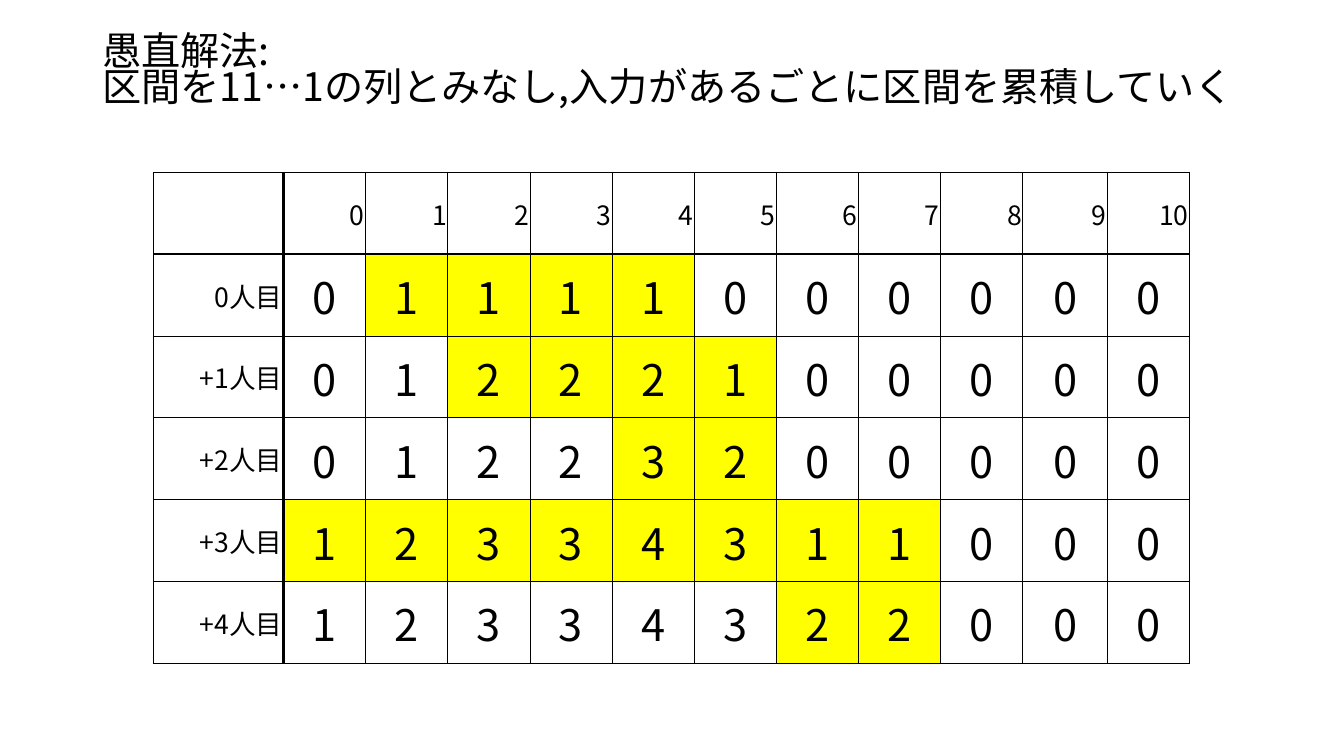
from lxml import etree
from pptx import Presentation
from pptx.dml.color import RGBColor
from pptx.enum.text import MSO_ANCHOR, PP_ALIGN
from pptx.oxml.ns import qn
from pptx.util import Pt

MIDDLE, TOP = MSO_ANCHOR.MIDDLE, MSO_ANCHOR.TOP
LEFT, CENTER, RIGHT = PP_ALIGN.LEFT, PP_ALIGN.CENTER, PP_ALIGN.RIGHT
FONT = "Noto Sans CJK JP"
COLORS = {"ink": "000000", "highlight": "FFFF00"}
THIN, THICK = 0.5, 2
POSITIONS = 11
INTERVALS = [(1, 4), (2, 5), (4, 5), (0, 7), (6, 7)]
COLUMN_WIDTHS = [93] + [58.7] * 9 + [60.5, 58.7]


def add_run(paragraph, text, size):
    """Add one run in the slide's font and ink colour."""
    run = paragraph.add_run()
    run.text = text
    run.font.size = Pt(size)
    run.font.name = FONT
    run.font.color.rgb = RGBColor.from_string(COLORS["ink"])
    east_asian = etree.SubElement(run.font._element, qn("a:ea"))
    east_asian.set("typeface", FONT)


def set_borders(cell, widths):
    """Draw the left, right, top and bottom borders in the given widths."""
    properties = cell._tc.get_or_add_tcPr()
    for index, (side, width) in enumerate(zip("LRTB", widths)):
        line = etree.Element(qn(f"a:ln{side}"), w=str(Pt(width)))
        fill = etree.SubElement(line, qn("a:solidFill"))
        etree.SubElement(fill, qn("a:srgbClr"), val=COLORS["ink"])
        properties.insert(index, line)


def fill_cell(cell, text, size, alignment, highlighted):
    """Write a cell's text and set its background."""
    cell.margin_left = cell.margin_right = cell.margin_top = Pt(0.72)
    cell.margin_bottom = Pt(0)
    cell.vertical_anchor = MIDDLE
    paragraph = cell.text_frame.paragraphs[0]
    paragraph.alignment = alignment
    if text:
        add_run(paragraph, text, size)
    if highlighted:
        cell.fill.solid()
        cell.fill.fore_color.rgb = RGBColor.from_string(COLORS["highlight"])
    else:
        cell.fill.background()


def add_heading(slide, left, top, width, height):
    """Place the heading that describes the naive solution."""
    frame = slide.shapes.add_textbox(Pt(left), Pt(top), Pt(width), Pt(height)).text_frame
    frame.word_wrap = True
    frame.vertical_anchor = TOP
    paragraph = frame.paragraphs[0]
    paragraph.alignment = LEFT
    paragraph.line_spacing = 0.76
    add_run(paragraph, "愚直解法:", 28)
    paragraph.add_line_break()
    add_run(paragraph, "区間を11…1の列とみなし,入力があるごとに区間を累積していく", 28)


def accumulate_rows():
    """Return the label, running counts and interval after each person."""
    counts = [0] * POSITIONS
    rows = []
    for person, (first, last) in enumerate(INTERVALS):
        counts = [count + (first <= position <= last) for position, count in enumerate(counts)]
        label = f"+{person}人目" if person else "0人目"
        rows.append((label, counts, range(first, last + 1)))
    return rows


def add_count_table(slide, left, top, width, height):
    """Place the table of accumulated intervals."""
    rows = [("", range(POSITIONS), ())] + accumulate_rows()
    table = slide.shapes.add_table(
        len(rows), POSITIONS + 1, Pt(left), Pt(top), Pt(width), Pt(height)
    ).table
    table.first_row = table.horz_banding = False
    for column, column_width in zip(table.columns, COLUMN_WIDTHS):
        column.width = Pt(column_width)
    for row_index, (label, counts, interval) in enumerate(rows):
        table.rows[row_index].height = Pt(height / len(rows))
        for column_index, text in enumerate([label, *counts]):
            cell = table.cell(row_index, column_index)
            is_count = row_index > 0 and column_index > 0
            size, alignment = (31, CENTER) if is_count else (19, RIGHT)
            fill_cell(cell, str(text), size, alignment, column_index - 1 in interval)
            set_borders(cell, [
                THICK if column_index == 1 else THIN,
                THICK if column_index == 0 else THIN,
                THICK if row_index == 1 else THIN,
                THICK if row_index == 0 else THIN,
            ])


def main():
    """Build and save the slide."""
    presentation = Presentation()
    presentation.slide_width, presentation.slide_height = Pt(960), Pt(540)
    slide = presentation.slides.add_slide(presentation.slide_layouts[6])
    add_heading(slide, 66, 23, 828, 87)
    add_count_table(slide, 109.5, 123, sum(COLUMN_WIDTHS), 351)
    presentation.save("out.pptx")


if __name__ == "__main__":
    main()
